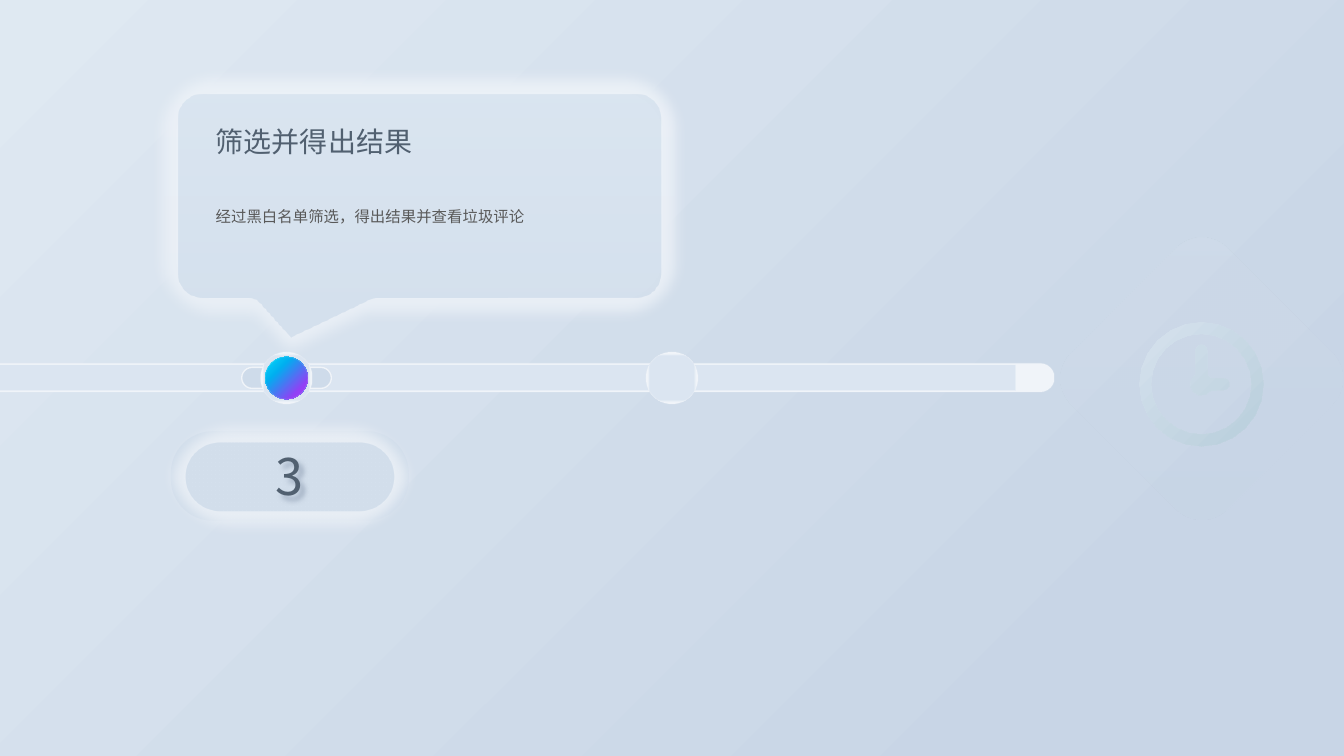
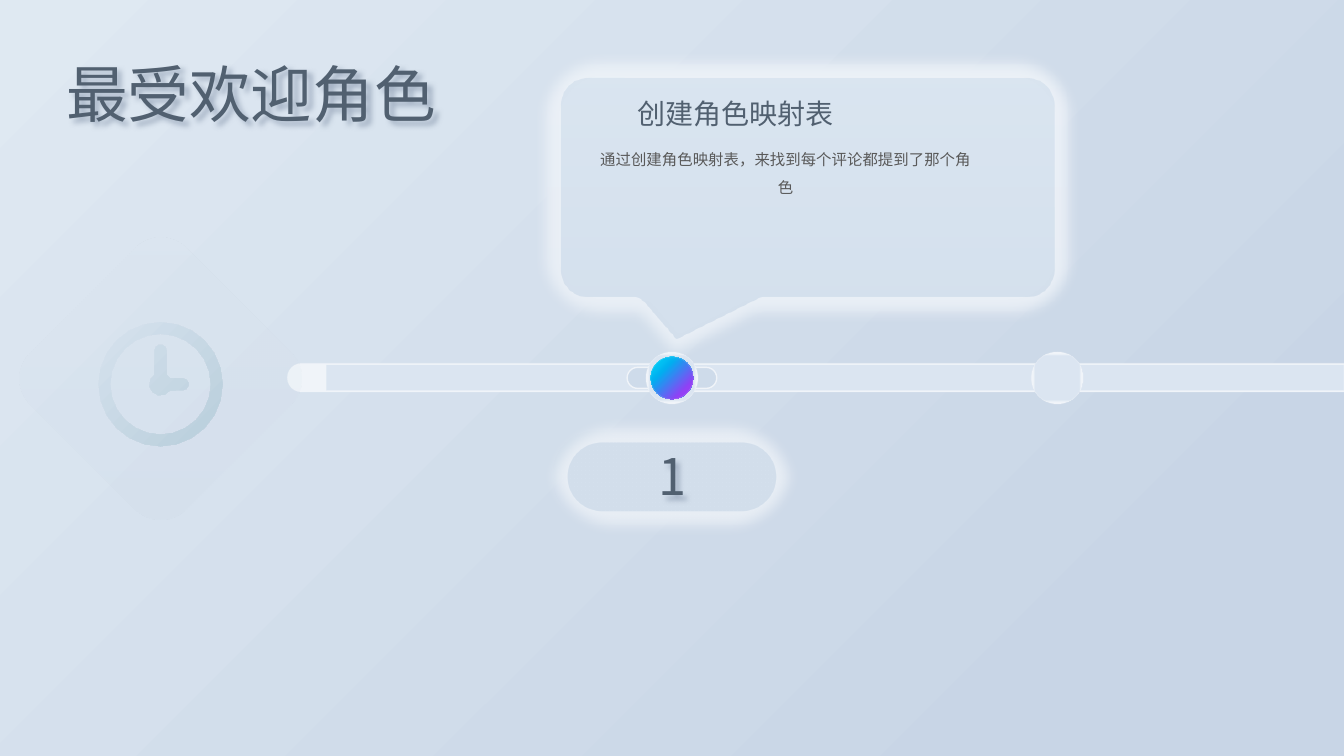
from dataclasses import dataclass
from math import cos, radians, sin

from lxml import etree
from pptx import Presentation
from pptx.dml.color import RGBColor
from pptx.enum.shapes import MSO_SHAPE
from pptx.enum.text import MSO_ANCHOR, MSO_AUTO_SIZE, PP_ALIGN
from pptx.oxml import parse_xml
from pptx.oxml.ns import nsdecls, qn
from pptx.util import Pt

ROUND = MSO_SHAPE.ROUNDED_RECTANGLE
OVAL = MSO_SHAPE.OVAL
BUBBLE = MSO_SHAPE.ROUNDED_RECTANGULAR_CALLOUT
LEFT, MID = PP_ALIGN.LEFT, PP_ALIGN.CENTER


@dataclass(frozen=True)
class Theme:
    # Gradients are stops (percent, colour) and an angle; None runs inward.
    back = ([(0, "DFE9F2"), (85, "C8D5E6")], 45)
    track = ([(84, "DBE5F1"), (93, "F0F4F9")], None)
    orb = ([(0, "04DFFB"), (31, "00B0F0"), (79, "9340F5")], 45)
    card = ([(0, "DAE5F0"), (100, "D4E0ED")], 90)
    clock = ([(0, "D6E2EE"), (100, "B8CEDB")], 45)
    rim = "CEDBEA"
    plate = "D4E0ED"
    edge = "F7F9FC"
    white = "FFFFFF"
    shade = "7F8FA6"
    ink = "516070"
    body = "595959"
    sans = "Noto Sans CJK JP"
    plain = "Noto Sans CJK SC"
    big, num, head, small = 44, 36, 20, 11


T = Theme()
SOFT = f'<a:softEdge {nsdecls("a")} rad="{Pt(10)}"/>'
SHADOW = (f'<a:outerShdw {nsdecls("a")} blurRad="{Pt(4)}" dist="{Pt(4)}" '
          f'dir="2700000" algn="tl"><a:srgbClr val="{T.shade}">'
          '<a:alpha val="60000"/></a:srgbClr></a:outerShdw>')


def paint(fill, root, look, alpha=100):
    """Fill with a colour, or with a gradient held below root."""
    if isinstance(look, str):
        fill.solid()
        fill.fore_color.rgb = RGBColor.from_string(look)
        tints = [next(root.iter(qn("a:srgbClr")))]
    else:
        stops, angle = look
        fill.gradient()
        grad = next(root.iter(qn("a:gradFill")))
        grad.clear()
        row = etree.SubElement(grad, qn("a:gsLst"))
        for pos, tint in stops:
            stop = etree.SubElement(row, qn("a:gs"), pos=str(pos * 1000))
            etree.SubElement(stop, qn("a:srgbClr"), val=tint)
        if angle is None:
            way = etree.SubElement(grad, qn("a:path"), path="shape")
            half = dict.fromkeys("ltrb", "50000")
            etree.SubElement(way, qn("a:fillToRect"), **half)
        else:
            etree.SubElement(grad, qn("a:lin"), ang=str(angle * 60000),
                             scaled="0")
        tints = row.findall(".//" + qn("a:srgbClr"))
    if alpha < 100:
        for tint in tints:
            etree.SubElement(tint, qn("a:alpha"), val=str(alpha * 1000))


def draw(slide, kind, mid, top, wide, high, look, alpha=100,
         line=None, width=1, clear=15, adj=()):
    """Add a shape centred on mid; clear is the opacity of its line."""
    shape = slide.shapes.add_shape(
        kind, Pt(mid - wide / 2), Pt(top), Pt(wide), Pt(high))
    for i, value in enumerate(adj):
        shape.adjustments[i] = value
    root = shape.element.spPr
    paint(shape.fill, root, look, alpha)
    if line:
        shape.line.width = Pt(width)
        paint(shape.line.fill, root.find(qn("a:ln")), line, clear)
    else:
        shape.line.fill.background()
    shape.shadow.inherit = False
    return shape


# Clock outline around its centre: arcs of x, y, radius, start and end angle
CLOCK = [
    [(0, 0, 44.3, 0, 360)],
    [(0, 0, 36, 360, 0)],
    [(0, -24, 4.3, 180, 360), (0, 0, 8, -57, -33), (15.8, 0, 4.2, -90, 90),
     (0, 0, 8, 33, 237)],
]

# Text: words, left, top, width, height, size, font, colour, align, spacing,
# shadow; the first text of each slide is its title
SLIDES = [
    dict(node=204.7, mid=207, bar=362, clock=858.2, rim=80,
         card=(299.2, 57, 365, 165), texts=[
             ("筛选并得出结果", 147, 85, 178, 32,
              T.head, T.sans, T.ink, LEFT, 1, False),
             ("经过黑白名单筛选，得出结果并查看垃圾评论", 147, 137.5, 335, 27,
              T.small, T.plain, T.body, LEFT, 1.5, False),
             ("3", 138, 314.6, 137.5, 51,
              T.num, T.sans, T.ink, MID, 1, True)]),
    dict(node=480, mid=480, bar=596.5, clock=114.7, rim=25,
         card=(576.4, 45.4, 372.3, 176.4), texts=[
             ("最受欢迎角色", 40, 36, 328, 60.5,
              T.big, T.sans, T.ink, LEFT, 1, True),
             ("创建角色映射表", 437, 65.5, 176.4, 32,
              T.head, T.sans, T.ink, MID, 1, False),
             ("通过创建角色映射表，来找到每个评论都提到了那个角色", 421.2, 97.2, 280, 47,
              T.small, T.sans, T.body, MID, 1.5, False),
             ("1", 411.3, 314.6, 137.5, 51,
              T.num, T.sans, T.ink, MID, 1, True)]),
]
STRIDE = 275.3

prs = Presentation()
prs.slide_width, prs.slide_height = Pt(960), Pt(540)
master = prs.slide_master
paint(master.background.fill, master.element, T.back)

for data in SLIDES:
    slide = prs.slides.add_slide(prs.slide_layouts[5])
    node, mid = data["node"], data["mid"]

    # Time line with its two nodes
    draw(slide, ROUND, data["bar"], 259.5, 782.6, 20.5, T.track,
         line=T.edge, adj=[0.5])
    draw(slide, ROUND, node, 262.4, 64, 15, T.rim, line=T.edge, clear=80,
         adj=[0.5])
    for x in (node, node + STRIDE):
        draw(slide, OVAL, x, 251.4, 37.2, 37.2, T.track, line=T.edge)
    draw(slide, OVAL, node, 254.8, 30.4, 30.4, T.orb, line=T.white, width=0.5)

    # Number plate and speech card
    draw(slide, ROUND, mid, 308, 170, 64, T.rim, data["rim"], adj=[0.47])
    plate = draw(slide, ROUND, mid, 306, 168.5, 69, T.plate, line=T.edge,
                 width=20, clear=60, adj=[0.5])
    card = draw(slide, BUBBLE, *data["card"], T.card, line=T.edge,
                width=20, clear=60, adj=[-0.258, 0.684, 0.167])
    for shape in (plate, card):
        shape.element.spPr.find(qn("a:effectLst")).append(parse_xml(SOFT))

    # Clock on its faint diamond
    tile = draw(slide, ROUND, data["clock"], 191.5, 157.7, 157.7, T.back, 10)
    tile.rotation = 45
    pen = None
    for ring in CLOCK:
        dots = []
        for x, y, r, start, end in ring:
            steps = max(1, round(abs(end - start) / (15 if r > 10 else 36)))
            for i in range(steps + 1):
                turn = radians(start + (end - start) * i / steps)
                dots.append((Pt(data["clock"] + x + r * cos(turn)),
                             Pt(274.5 + y + r * sin(turn))))
        if pen is None:
            pen = slide.shapes.build_freeform(*dots[0])
        else:
            pen.move_to(*dots[0])
        pen.add_line_segments(dots[1:], close=True)
    clock = pen.convert_to_shape()
    paint(clock.fill, clock.element.spPr, T.clock)
    clock.line.fill.background()
    clock.shadow.inherit = False

    # Title and texts
    for i, item in enumerate(data["texts"]):
        words, x, y, wide, high, size, face, tint, side, gap, shade = item
        area = [Pt(v) for v in (x, y, wide, high)]
        if i == 0:
            box = slide.shapes.title
            box.left, box.top, box.width, box.height = area
            slide.shapes._spTree.append(box.element)
        else:
            box = slide.shapes.add_textbox(*area)
        frame = box.text_frame
        frame.text = words
        frame.word_wrap = True
        frame.auto_size = MSO_AUTO_SIZE.NONE
        frame.vertical_anchor = MSO_ANCHOR.TOP
        para = frame.paragraphs[0]
        para.alignment = side
        para.line_spacing = gap
        run = para.runs[0]
        run.font.size = Pt(size)
        run.font.name = face
        run.font.color.rgb = RGBColor.from_string(tint)
        etree.SubElement(run.font._element, qn("a:ea"), typeface=face)
        if shade:
            box.shadow.inherit = False
            box.element.spPr.find(qn("a:effectLst")).append(parse_xml(SHADOW))

prs.save("out.pptx")
